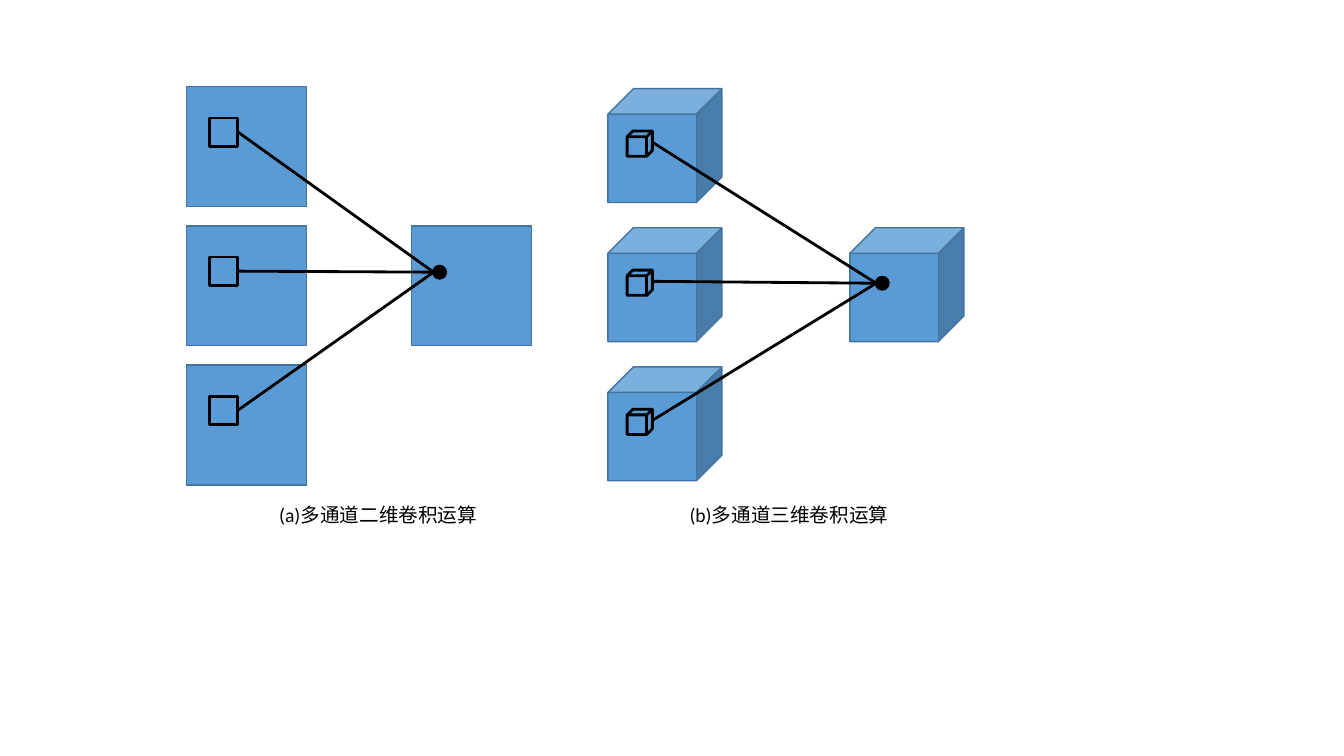
from dataclasses import dataclass
from typing import Optional

from lxml.etree import SubElement
from pptx import Presentation
from pptx.dml.color import RGBColor
from pptx.enum.shapes import MSO_CONNECTOR as Connector, MSO_SHAPE as Shape
from pptx.oxml.ns import qn
from pptx.util import Inches, Pt

COLOURS = {"map": "5B9BD5", "edge": "43739E", "ink": "000000"}
CHANNELS = 3
ROW_PITCH = 1.38
OUTPUT_ROW = 1
DOT_SIZE = 0.12
CUBE_DEPTH = 0.224
CAPTION_TOP = 4.94
CAPTION_HEIGHT = 0.34
CAPTION_FONT = {"name": "Calibri", "size": Pt(14)}


@dataclass(frozen=True)
class Convolution:
    caption: str
    caption_left: float
    caption_width: float
    preset: Shape
    left: float
    top: float
    map_size: float
    kernel_left: float
    kernel_drop: float
    kernel_size: float
    kernel_exit: float
    output_left: float
    dot_left: float
    dot_middle: float


CONVOLUTIONS = (
    Convolution("(a)多通道二维卷积运算", 2.67, 2.18, Shape.RECTANGLE, 1.85, 0.86, 1.19,
                2.08, 0.31, 0.28, 0.5, 4.08, 4.3, 2.7),
    Convolution("(b)多通道三维卷积运算", 6.74, 2.19, Shape.CUBE, 6.03, 0.88, 1.13,
                6.22, 0.42, 0.25, (1 - CUBE_DEPTH / 2) / 2, 8.43, 8.69, 2.81),
)

presentation = Presentation()
presentation.slide_width = Inches(13.33)
presentation.slide_height = Inches(7.5)
slide = presentation.slides.add_slide(presentation.slide_layouts[6])


def colour(name: str) -> RGBColor:
    return RGBColor.from_string(COLOURS[name])


def draw_square(preset: Shape, left: float, top: float, size: float,
                fill: Optional[str], line: str, weight: float) -> None:
    shape = slide.shapes.add_shape(preset, *map(Inches, (left, top, size, size)))
    shape.shadow.inherit = False
    if preset == Shape.CUBE:
        shape.adjustments[0] = CUBE_DEPTH
    if fill:
        shape.fill.solid()
        shape.fill.fore_color.rgb = colour(fill)
    else:
        shape.fill.background()
    shape.line.color.rgb = colour(line)
    shape.line.width = Pt(weight)


def draw_link(start: tuple[float, float], end: tuple[float, float]) -> None:
    link = slide.shapes.add_connector(Connector.STRAIGHT, *map(Inches, start + end))
    link.line.color.rgb = colour("ink")
    link.line.width = Pt(2)
    SubElement(link._element.spPr, qn("a:effectLst"))


def draw_caption(convolution: Convolution) -> None:
    box = slide.shapes.add_textbox(*map(Inches, (
        convolution.caption_left, CAPTION_TOP, convolution.caption_width, CAPTION_HEIGHT)))
    box.text_frame.word_wrap = True
    run = box.text_frame.paragraphs[0].add_run()
    run.text = convolution.caption
    for attribute, value in CAPTION_FONT.items():
        setattr(run.font, attribute, value)
    run.font.color.rgb = colour("ink")


def draw_convolution(item: Convolution) -> None:
    tops = [item.top + row * ROW_PITCH for row in range(CHANNELS)]
    for top in tops:
        draw_square(item.preset, item.left, top, item.map_size, "map", "edge", 1)
        draw_square(item.preset, item.kernel_left, top + item.kernel_drop,
                    item.kernel_size, None, "ink", 2)
    draw_square(item.preset, item.output_left, tops[OUTPUT_ROW], item.map_size,
                "map", "edge", 1)
    for top in tops:
        start = (item.kernel_left + item.kernel_size,
                 top + item.kernel_drop + item.kernel_size * item.kernel_exit)
        draw_link(start, (item.dot_left, item.dot_middle))
    draw_square(Shape.OVAL, item.dot_left, item.dot_middle - DOT_SIZE / 2, DOT_SIZE,
                "ink", "ink", 2)
    draw_caption(item)


for convolution in CONVOLUTIONS:
    draw_convolution(convolution)

presentation.save("out.pptx")
